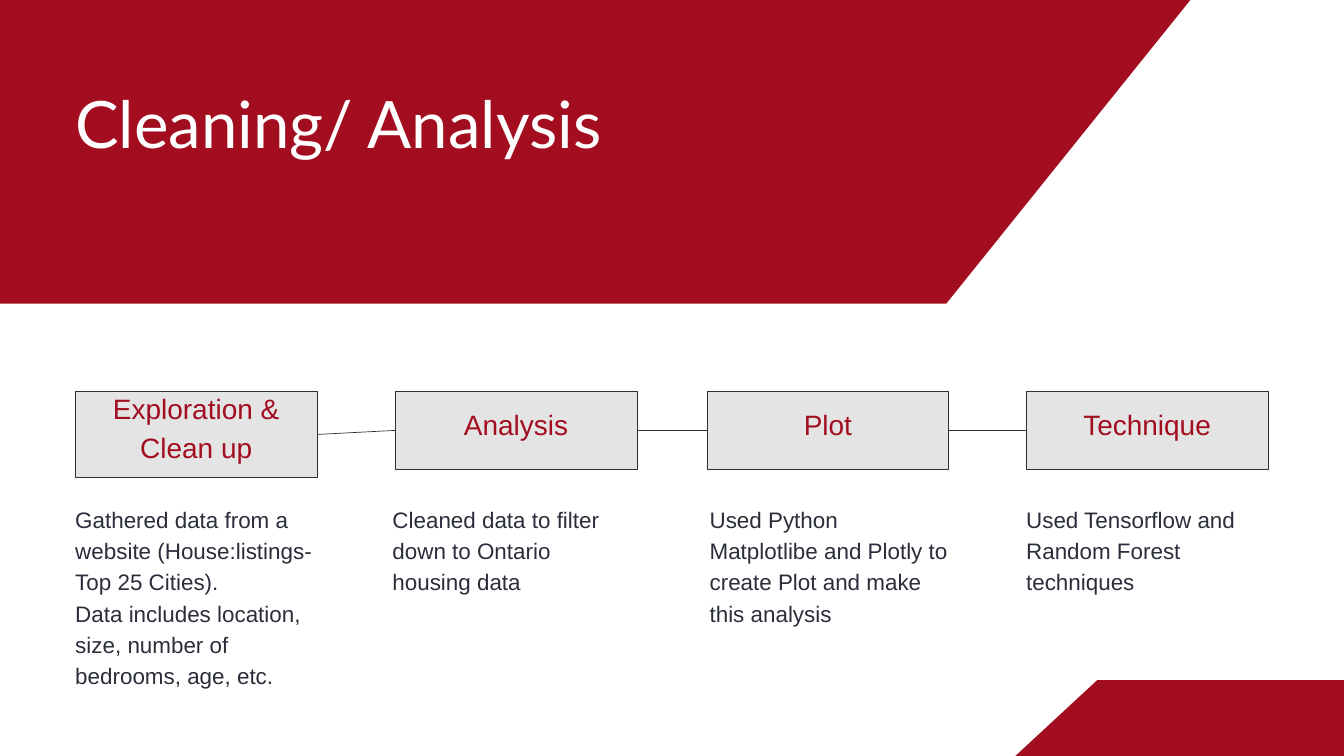
import pptx
import pptx.util
import pptx.dml.color
import pptx.enum.shapes
import pptx.enum.text
import pptx.oxml
from dataclasses import dataclass
from pptx.oxml import ns

PX = 9144
ALIGN = pptx.enum.text.PP_ALIGN
ANCHOR = pptx.enum.text.MSO_ANCHOR


@dataclass(frozen=True)
class Theme:
    red: str = "A20E20"
    ink: str = "2A2E3A"
    grey: str = "E4E4E4"
    white: str = "FFFFFF"
    heading_font: str = "Lato"
    body_font: str = "Arial"
    title: float = 70
    label: float = 30
    body: float = 24
    line: float = 0.75


THEME = Theme()
STEP_WIDTH = 360
STEPS = [
    (112, 112, 129, "Exploration & Clean up",
     ["Gathered data from a website (House:listings-Top 25 Cities).",
      "Data includes location, size, number of bedrooms, age, etc."], 274),
    (588, 584, 117, "Analysis",
     ["Cleaned data to filter down to Ontario housing data"], 136),
    (1052, 1056, 117, "Plot",
     ["Used Python Matplotlibe and Plotly to create Plot and make this analysis"], 182),
    (1527, 1527, 117, "Technique",
     ["Used Tensorflow and Random Forest techniques"], 136),
]


def rgb(color):
    return pptx.dml.color.RGBColor.from_string(color)


def emu(*lengths):
    return [length * PX for length in lengths]


def write(shape, lines, size, color, font, spacing, align=ALIGN.LEFT,
          anchor=ANCHOR.TOP, insets=(0, 0, 0, 0)):
    tf = shape.text_frame
    tf.text = "\n".join(lines)
    tf.word_wrap = True
    tf.auto_size = pptx.enum.text.MSO_AUTO_SIZE.NONE
    tf.vertical_anchor = anchor
    tf.margin_left, tf.margin_top, tf.margin_right, tf.margin_bottom = emu(*insets)
    for p in tf.paragraphs:
        p.alignment = align
        p.line_spacing = pptx.util.Pt(spacing)
        p.space_before = pptx.util.Pt(0)
        for r in p.runs:
            r.font.size = pptx.util.Pt(size)
            r.font.name = font
            r.font.color.rgb = rgb(color)


def add_trapezoid(s, x, y, w, h, top, bottom):
    points = [(x + top[0], y), (x + top[1], y),
              (x + bottom[1], y + h), (x + bottom[0], y + h)]
    builder = s.shapes.build_freeform(*points[0], scale=PX)
    builder.add_line_segments(points[1:], close=True)
    sp = builder.convert_to_shape()
    sp.shadow.inherit = False
    sp.fill.solid()
    sp.fill.fore_color.rgb = rgb(THEME.red)
    sp.line.fill.background()
    return sp


def add_header(s, x, y, w, h):
    band = add_trapezoid(s, x, y, w, h, (0, w), (480, w - 480))
    title = s.shapes.title
    title.element.addprevious(band.element)
    title.left, title.top, title.width, title.height = emu(x + 614, y + 269, 1311, 117)
    write(title, ["Cleaning/ Analysis"], THEME.title, THEME.white,
          THEME.heading_font, 84)


def add_step(s, x, y, w, h, label):
    sp = s.shapes.add_shape(pptx.enum.shapes.MSO_SHAPE.RECTANGLE, *emu(x, y, w, h))
    sp.shadow.inherit = False
    sp.fill.solid()
    sp.fill.fore_color.rgb = rgb(THEME.grey)
    sp.line.color.rgb = rgb(THEME.ink)
    sp.line.width = pptx.util.Pt(THEME.line)
    write(sp, [label], THEME.label, THEME.red, THEME.body_font, 42,
          ALIGN.CENTER, ANCHOR.MIDDLE, (6, 0, 6, 27))
    return sp


def add_link(s, start, end):
    link = s.shapes.add_connector(pptx.enum.shapes.MSO_CONNECTOR.STRAIGHT, 0, 0, 0, 0)
    link.begin_connect(start, 3)
    link.end_connect(end, 1)
    link.line.color.rgb = rgb(THEME.ink)
    link.line.width = pptx.util.Pt(THEME.line)
    link.element.spPr.append(
        pptx.oxml.parse_xml(f"<a:effectLst {ns.nsdecls('a')}/>"))


def add_process(s, y):
    boxes = [add_step(s, x, y, STEP_WIDTH, h, label)
             for x, _, h, label, _, _ in STEPS]
    for start, end in zip(boxes, boxes[1:]):
        add_link(s, start, end)
    for _, x, _, _, lines, h in STEPS:
        note = s.shapes.add_textbox(*emu(x, y + 164, STEP_WIDTH, h))
        write(note, lines, THEME.body, THEME.ink, THEME.body_font, 33.6)


def add_footer(s, x, y, w, h):
    add_trapezoid(s, x, y, w, h, (122, w - 122), (0, w))


def main():
    prs = pptx.Presentation()
    prs.slide_width, prs.slide_height = emu(2000, 1125)
    s = prs.slides.add_slide(prs.slide_layouts[5])
    add_header(s, -502, -145, 2390, 597)
    add_process(s, 582)
    add_footer(s, 1511, 1012, 630, 113)
    prs.save("out.pptx")


if __name__ == "__main__":
    main()
